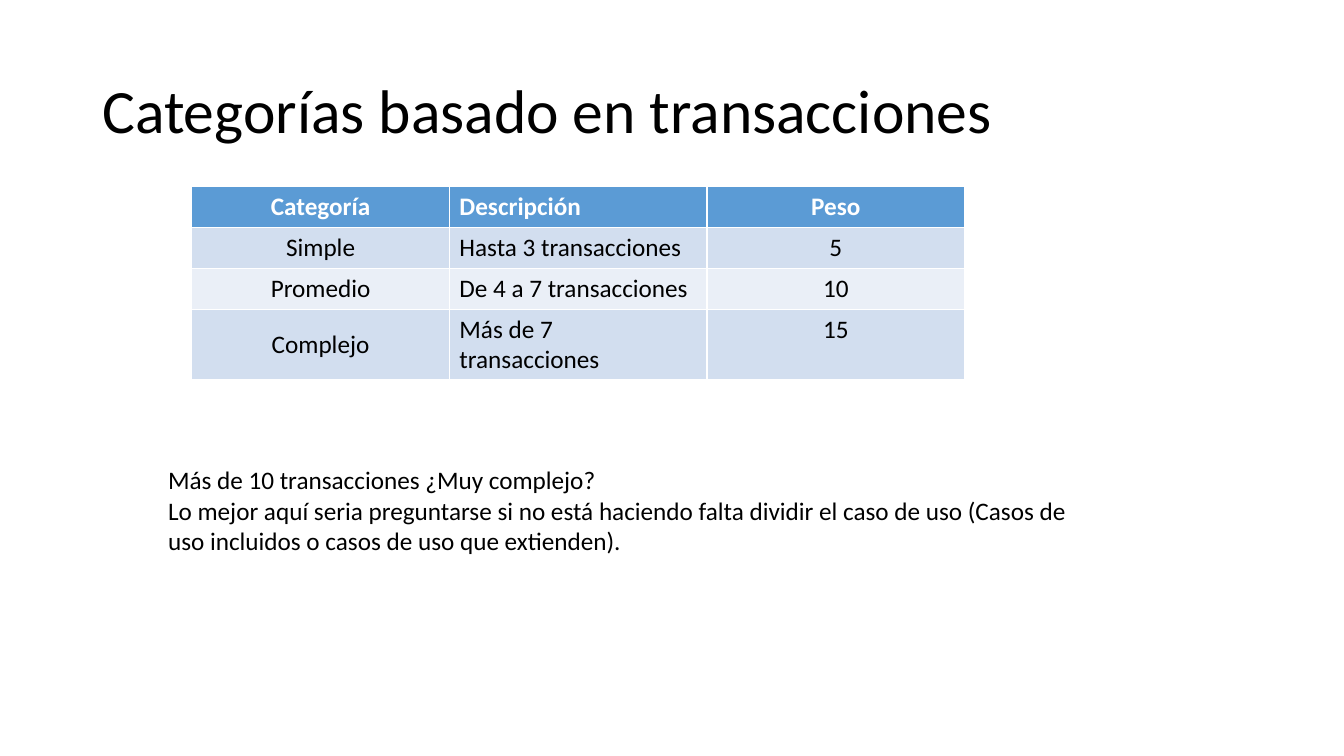
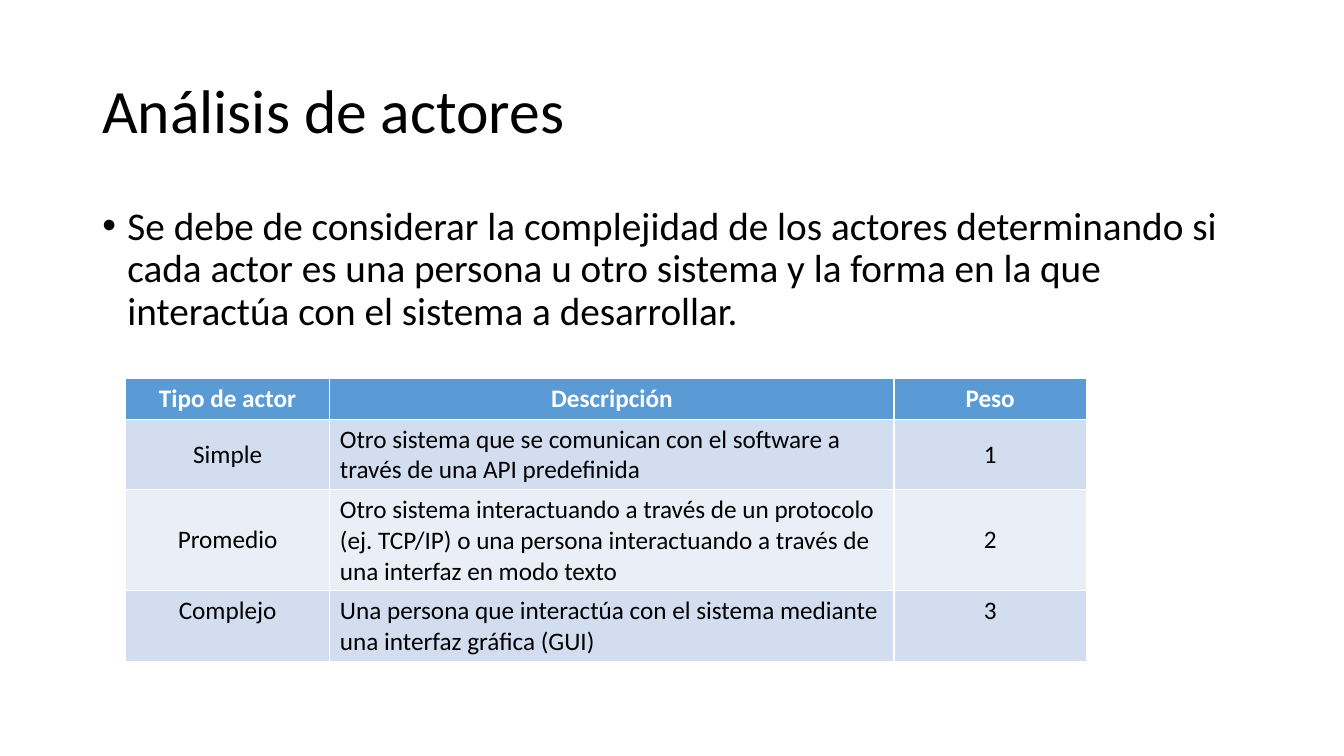
"""Builds two slides on weighting use cases and actors."""
from lxml import etree
from pptx import Presentation
from pptx import util as u
from pptx.dml.color import RGBColor
from pptx.enum import text
from pptx.oxml.ns import qn

BLACK = RGBColor(0x00, 0x00, 0x00)
WHITE = RGBColor(0xFF, 0xFF, 0xFF)
HEADER_BLUE = RGBColor(0x5B, 0x9B, 0xD5)
ROW_FILLS = (RGBColor(0xEA, 0xEF, 0xF7), RGBColor(0xD2, 0xDE, 0xEF))

LEFT, CENTER = text.PP_ALIGN.LEFT, text.PP_ALIGN.CENTER
TOP, MIDDLE = text.MSO_ANCHOR.TOP, text.MSO_ANCHOR.MIDDLE


class Deck:
    """Holds the shared style and the current slide."""

    font_name = "Calibri"
    row_height = 29.2

    def __init__(self):
        self.prs = Presentation()
        self.prs.slide_width, self.prs.slide_height = u.Pt(960), u.Pt(540)
        self.slide = None

    def new_slide(self, title):
        self.slide = self.prs.slides.add_slide(self.prs.slide_layouts[6])
        heading = self.text_box((66, 28.75, 828, 104.4), [title], 44, spacing=0.9)
        heading.vertical_anchor = MIDDLE

    def style(self, paragraph, size, color=BLACK, bold=False, align=LEFT):
        paragraph.alignment = align
        for run in paragraph.runs:
            run.font.name = self.font_name
            run.font.size = u.Pt(size)
            run.font.bold = bold
            run.font.color.rgb = color

    def text_box(self, area, lines, size, spacing=1.0):
        frame = self.slide.shapes.add_textbox(*map(u.Pt, area)).text_frame
        frame.word_wrap = True
        frame.text = "\n".join(lines)
        for paragraph in frame.paragraphs:
            paragraph.line_spacing = spacing
            self.style(paragraph, size)
        return frame

    def bullets(self, area, lines):
        frame = self.text_box(area, lines, 28, spacing=0.9)
        for paragraph in frame.paragraphs:
            properties = paragraph._p.get_or_add_pPr()
            properties.set("marL", str(u.Pt(18)))
            properties.set("indent", str(u.Pt(-18)))
            etree.SubElement(properties, qn("a:buFont")).set("typeface", "Arial")
            etree.SubElement(properties, qn("a:buChar")).set("char", "•")

    def table(self, left, top, widths, rows, header_align, top_cells):
        height = self.row_height * len(rows)
        table = self.slide.shapes.add_table(
            len(rows), len(widths), u.Pt(left), u.Pt(top), u.Pt(sum(widths)), u.Pt(height)
        ).table
        for column, width in zip(table.columns, widths):
            column.width = u.Pt(width)
        for r, row in enumerate(rows):
            table.rows[r].height = u.Pt(self.row_height)
            header = r == 0
            for c, content in enumerate(row):
                cell = table.cell(r, c)
                cell.text = content
                cell.vertical_anchor = TOP if (r, c) in top_cells else MIDDLE
                cell.fill.solid()
                cell.fill.fore_color.rgb = HEADER_BLUE if header else ROW_FILLS[r % 2]
                description_align = header_align if header else LEFT
                self.style(
                    cell.text_frame.paragraphs[0],
                    18,
                    color=WHITE if header else BLACK,
                    bold=header,
                    align=description_align if c == 1 else CENTER,
                )


def main():
    deck = Deck()

    deck.new_slide("Categorías basado en transacciones")
    categories = [
        ("Categoría", "Descripción", "Peso"),
        ("Simple", "Hasta 3 transacciones", "5"),
        ("Promedio", "De 4 a 7 transacciones", "10"),
        ("Complejo", "Más de 7 transacciones", "15"),
    ]
    deck.table(137, 133.2, [184] * 3, categories, LEFT, {(3, 2)})
    advice = [
        "Más de 10 transacciones ¿Muy complejo?",
        "Lo mejor aquí seria preguntarse si no está haciendo falta dividir el caso de uso "
        "(Casos de uso incluidos o casos de uso que extienden).",
    ]
    deck.text_box((113, 328.3, 674.6, 72.7), advice, 18)

    deck.new_slide("Análisis de actores")
    deck.bullets((66, 144, 828, 342.7), [
        "Se debe de considerar la complejidad de los actores determinando si cada actor es "
        "una persona u otro sistema y la forma en la que interactúa con el sistema a desarrollar.",
    ])
    actors = [
        ("Tipo de actor", "Descripción", "Peso"),
        ("Simple", "Otro sistema que se comunican con el software a través de una API "
                   "predefinida", "1"),
        ("Promedio", "Otro sistema interactuando a través de un protocolo (ej. TCP/IP) o una "
                     "persona interactuando a través de una interfaz en modo texto", "2"),
        ("Complejo", "Una persona que interactúa con el sistema mediante una interfaz gráfica "
                     "(GUI)", "3"),
    ]
    deck.table(89.6, 270.2, [146, 403, 137.4], actors, CENTER, {(3, 0), (3, 2)})

    deck.prs.save("out.pptx")


if __name__ == "__main__":
    main()
